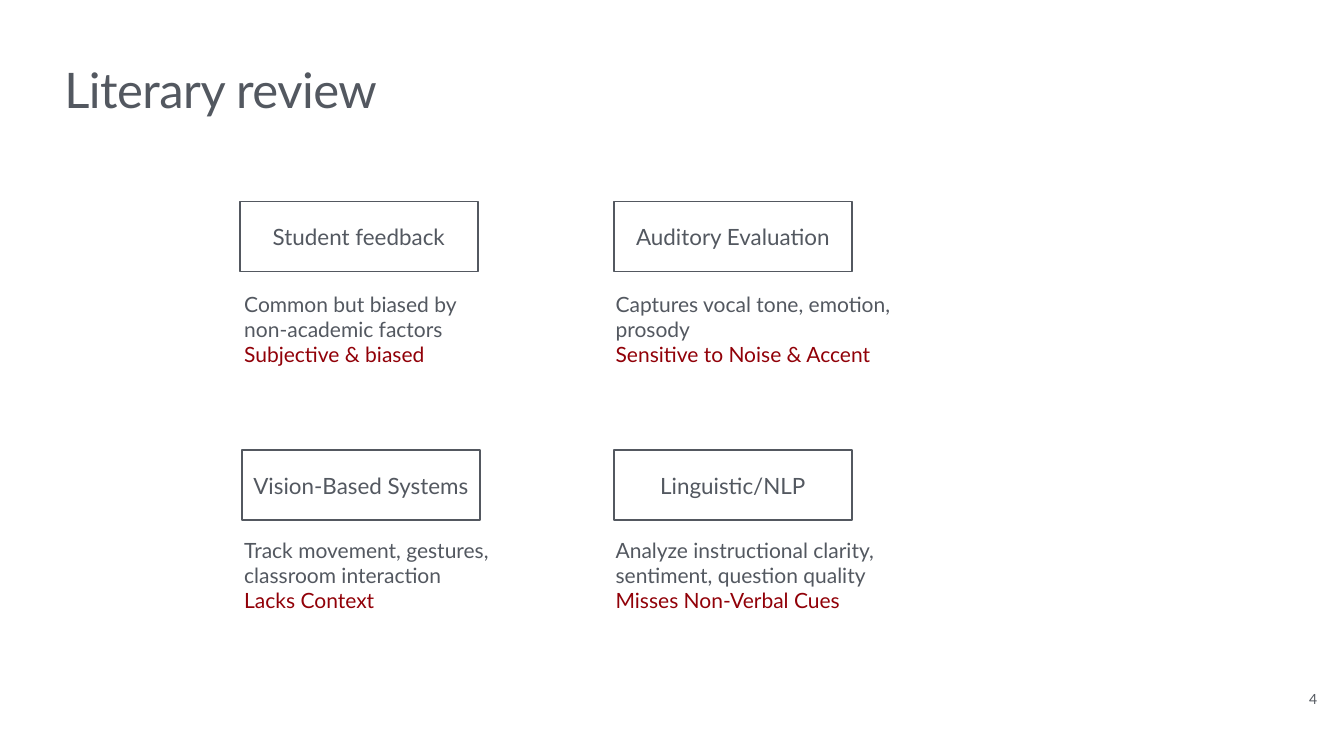
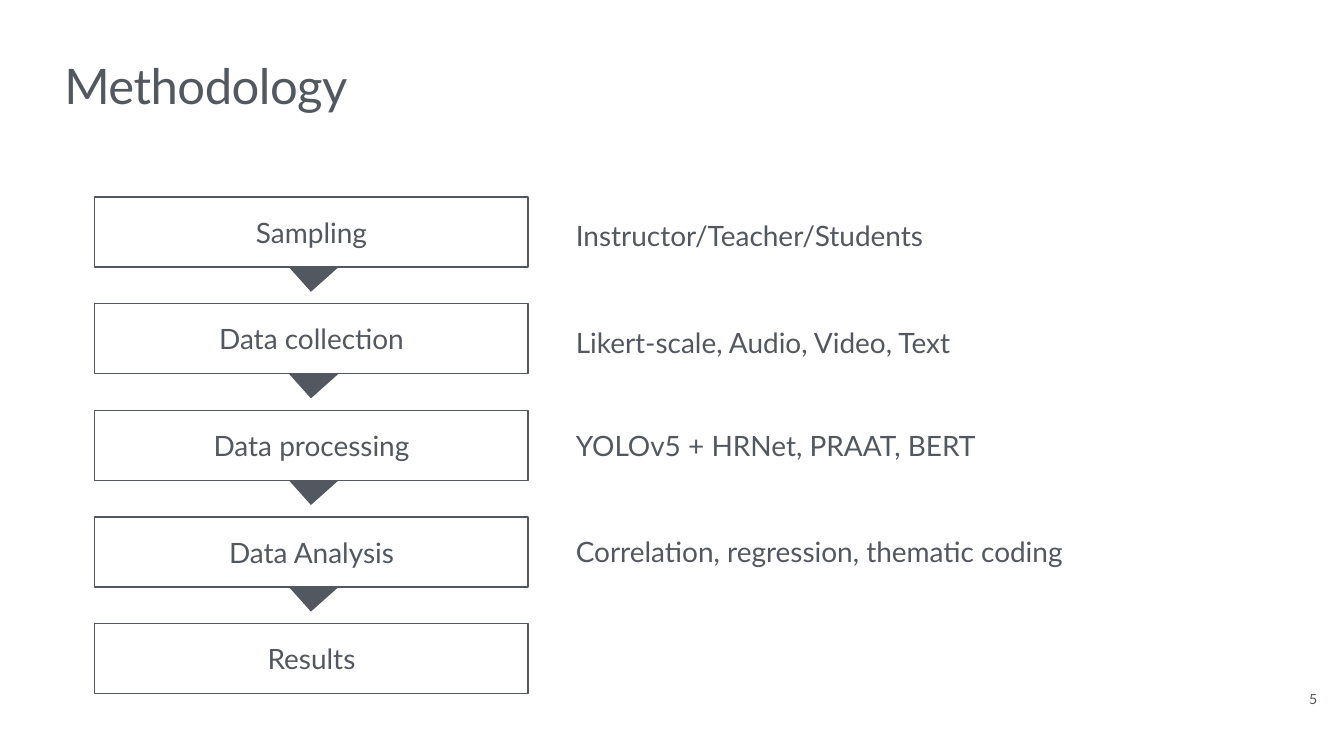
from pptx import Presentation
from pptx.dml.color import RGBColor
from pptx.enum.shapes import MSO_SHAPE as Preset
from pptx.enum.text import MSO_ANCHOR as Anchor, MSO_AUTO_SIZE as AutoSize, PP_ALIGN as Align
from pptx.util import Pt

REVIEW = {"title": "Literary review", "title_top": 82.8, "number": "4"}
# heading, box left, finding, drawback, width of the remark
METHODS = [
    [("Student feedback", 342.7, "Common but biased by non-academic factors",
      "Subjective & biased", 378),
     ("Auditory Evaluation", 877, "Captures vocal tone, emotion, prosody",
      "Sensitive to Noise & Accent", 424.8)],
    [("Vision-Based Systems", 345.6, "Track movement, gestures, classroom interaction",
      "Lacks Context", 401.8),
     ("Linguistic/NLP", 877, "Analyze instructional clarity, sentiment, question quality",
      "Misses Non-Verbal Cues", 424.8)],
]
METHODOLOGY = {"title": "Methodology", "title_top": 76.3, "number": "5"}
# step, detail, drop of the detail below the box top, width of the detail
STEPS = [
    ("Sampling", "Instructor/Teacher/Students", 25.2, 623.5),
    ("Data collection", "Likert-scale, Audio, Video, Text", 25.6, 623.5),
    ("Data processing", "YOLOv5 + HRNet, PRAAT, BERT", 20.2, 623.5),
    ("Data Analysis", "Correlation, regression, thematic coding", 19.8, 784.8),
    ("Results", None, 0, 0),
]

SLATE = RGBColor(0x53, 0x58, 0x60)
NUMBER_GREY = RGBColor(0x53, 0x58, 0x5F)
DARK_RED = RGBColor(0x91, 0x00, 0x08)
WHITE = RGBColor(0xFF, 0xFF, 0xFF)
FONT = "Lato"
INSET = 4
BOX_HEIGHT = 100
BODY = {"space_before": Pt(47)}
BOXED = {**BODY, "alignment": Align.CENTER}

REMARK_LEFTS, BOX_TOPS, REMARK_TOPS = (344.9, 875.5), (288, 643), (408.2, 759.6)
METHOD_WIDTH = 340
STEP_LEFT, STEP_TOP, STEP_WIDTH, STEP_PITCH = 135.4, 281.5, 619.2, 152.3
DETAIL_LEFT = 818.6
ARROW_LEFT, ARROW_TIP, ARROW_RIGHT, ARROW_DEPTH = 412.6, 444.2, 483.8, 35.3


def apply(target, values):
    for name, value in values.items():
        setattr(target, name, value)


def write(shape, parts, size, para_format, spacing=None, **frame_format):
    """Fill one paragraph with (text, colour) parts, each on its own line."""
    frame = shape.text_frame
    margins = {f"margin_{side}": Pt(INSET) for side in ("left", "right", "top", "bottom")}
    apply(frame, {"word_wrap": True, "vertical_anchor": Anchor.MIDDLE,
                  **margins, **frame_format})
    para = frame.paragraphs[0]
    apply(para, para_format)
    for index, (text, colour) in enumerate(parts):
        if index:
            para.add_line_break()
        span = para.add_run()
        span.text = text
        apply(span.font, {"name": FONT, "size": Pt(size)})
        span.font.color.rgb = colour
        if spacing is not None:
            span.font._element.set("spc", str(spacing))


def add_text(page, area, parts, size, para_format, **options):
    box = page.shapes.add_textbox(*map(Pt, area))
    write(box, parts, size, para_format, auto_size=AutoSize.SHAPE_TO_FIT_TEXT, **options)


def add_box(page, left, top, width, text, size):
    box = page.shapes.add_shape(Preset.RECTANGLE, *map(Pt, (left, top, width, BOX_HEIGHT)))
    box.shadow.inherit = False
    box.fill.solid()
    box.fill.fore_color.rgb = WHITE
    box.line.color.rgb = SLATE
    box.line.width = Pt(2)
    write(box, [(text, SLATE)], size, BOXED)


def add_arrow(page, top):
    outline = page.shapes.build_freeform(Pt(ARROW_LEFT), Pt(top))
    outline.add_line_segments([(Pt(ARROW_TIP), Pt(top + ARROW_DEPTH)),
                               (Pt(ARROW_RIGHT), Pt(top))], close=True)
    arrow = outline.convert_to_shape()
    arrow.shadow.inherit = False
    arrow.fill.solid()
    arrow.fill.fore_color.rgb = SLATE
    arrow.line.fill.background()


def add_page(deck, content):
    """Add a blank slide with the shared title and page number."""
    page = deck.slides.add_slide(deck.slide_layouts[6])
    add_text(page, (87.8, content["title_top"], 500, 99.4), [(content["title"], SLATE)],
             70, {"line_spacing": 0.9}, spacing=-70, word_wrap=False)
    add_text(page, (1864.1, 980.6, 21.6, 33.8), [(content["number"], NUMBER_GREY)],
             20, {"alignment": Align.RIGHT}, word_wrap=False, vertical_anchor=Anchor.BOTTOM)
    return page


def build_review(deck):
    page = add_page(deck, REVIEW)
    for row, box_top, remark_top in zip(METHODS, BOX_TOPS, REMARK_TOPS):
        for method, remark_left in zip(row, REMARK_LEFTS):
            heading, box_left, finding, drawback, width = method
            add_box(page, box_left, box_top, METHOD_WIDTH, heading, 32)
            add_text(page, (remark_left, remark_top, width, 124.6),
                     [(finding, SLATE), (drawback, DARK_RED)], 30, BODY)


def build_methodology(deck):
    page = add_page(deck, METHODOLOGY)
    for index, (step, detail, drop, width) in enumerate(STEPS):
        top = STEP_TOP + index * STEP_PITCH
        add_box(page, STEP_LEFT, top, STEP_WIDTH, step, 40)
        if detail:
            add_text(page, (DETAIL_LEFT, top + drop, width, 59.8), [(detail, SLATE)], 40, BODY)
            add_arrow(page, top + BOX_HEIGHT)


def main():
    deck = Presentation()
    apply(deck, {"slide_width": Pt(1920), "slide_height": Pt(1080)})
    build_review(deck)
    build_methodology(deck)
    deck.save("out.pptx")


if __name__ == "__main__":
    main()
